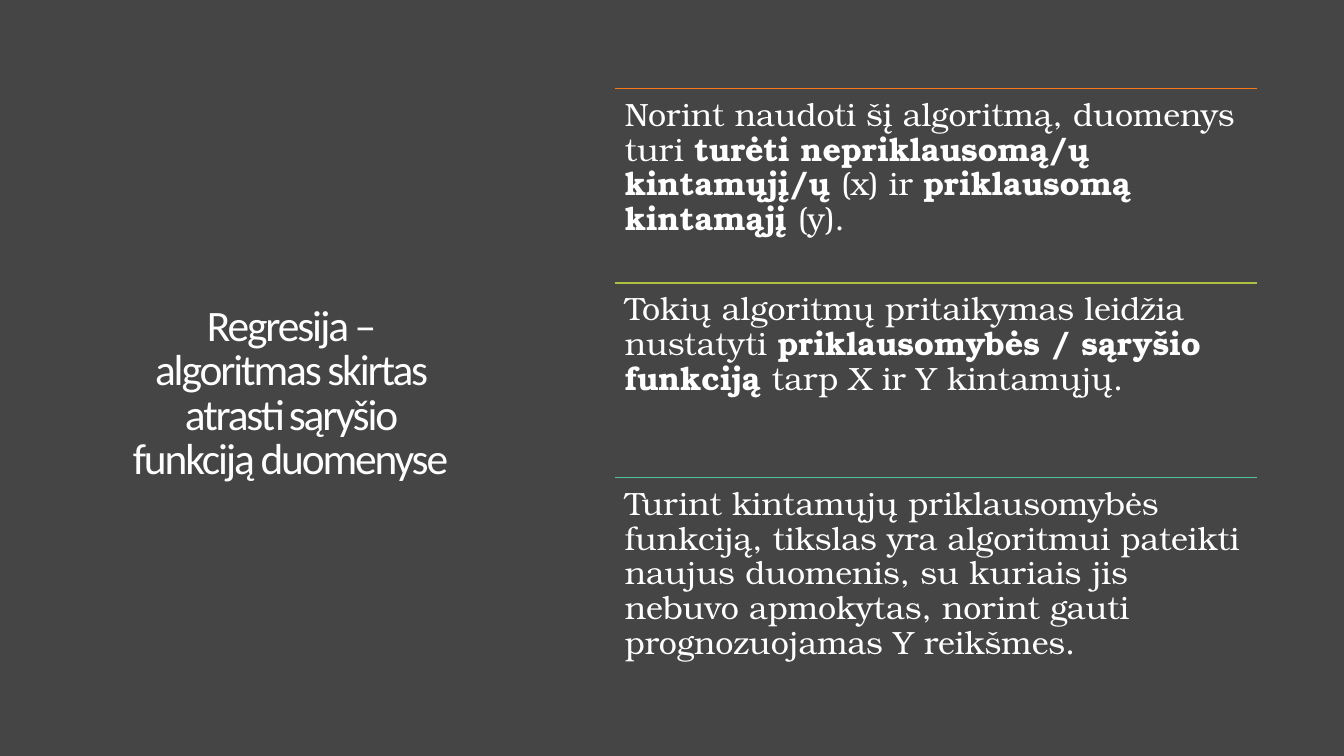
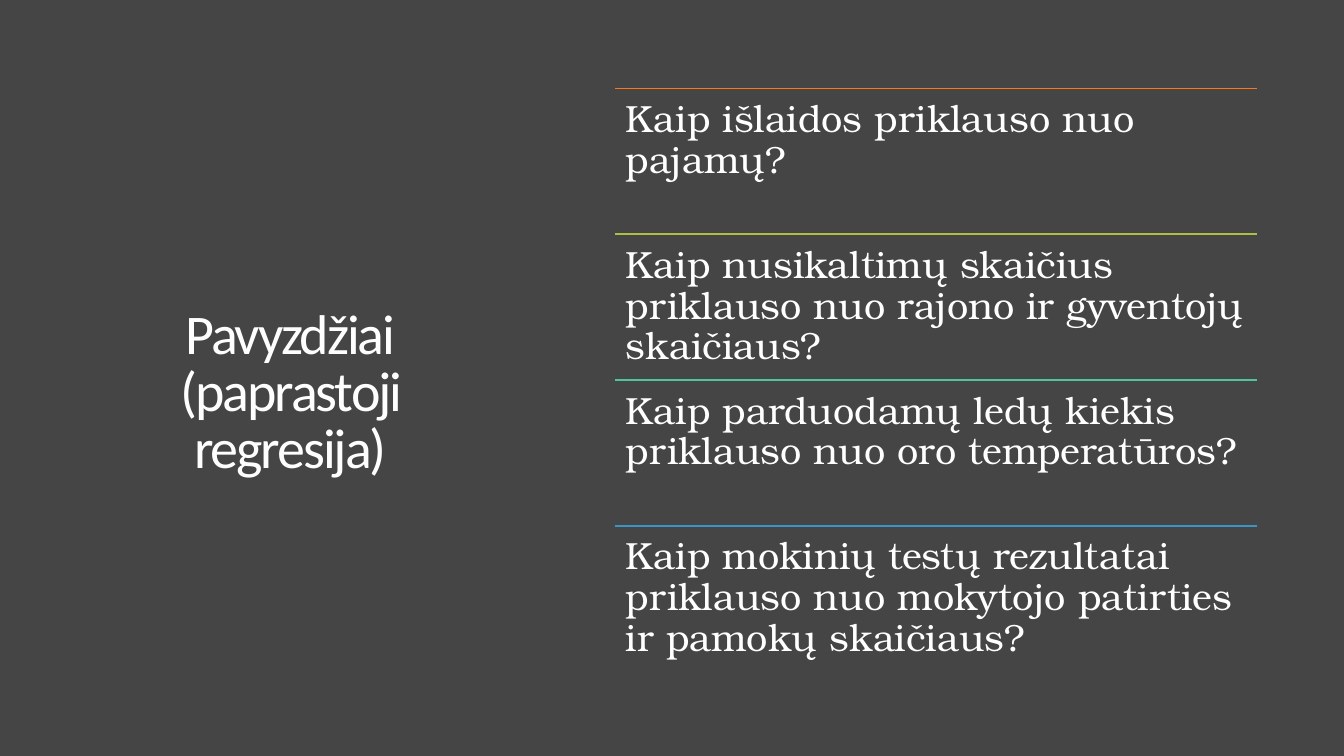
from dataclasses import dataclass

from lxml.etree import SubElement
from pptx import Presentation
from pptx.dml.color import RGBColor
from pptx.enum.shapes import MSO_CONNECTOR
from pptx.enum.text import MSO_ANCHOR, PP_ALIGN
from pptx.oxml.ns import qn
from pptx.slide import Slide
from pptx.text.text import TextFrame
from pptx.util import Inches, Length, Pt

SLIDE_WIDTH = Inches(13.33)
SLIDE_HEIGHT = Inches(7.5)

BACKGROUND = RGBColor(0x45, 0x45, 0x45)
TITLE_COLOR = RGBColor(0xFF, 0xFE, 0xFF)
TEXT_COLOR = RGBColor(0xFF, 0xFF, 0xFF)
RULE_COLORS = (
    RGBColor(0xFC, 0x77, 0x15),
    RGBColor(0xAF, 0xBF, 0x41),
    RGBColor(0x50, 0xC4, 0x9F),
    RGBColor(0x3B, 0x95, 0xC4),
)

TITLE_FONT = "Calibri"
TEXT_FONT = "TeX Gyre Bonum"


@dataclass(frozen=True)
class Area:
    """Rectangle in percent of the slide's width and height."""

    left: float
    top: float
    width: float
    height: float

    def row(self, index: int, count: int) -> "Area":
        """Return one of count equal rows of this area."""
        height = self.height / count
        return Area(self.left, self.top + index * height, self.width, height)


@dataclass(frozen=True)
class Span:
    """Piece of text in one weight."""

    text: str
    bold: bool = False


@dataclass(frozen=True)
class Page:
    """Title and ruled statements of one slide."""

    title: str
    title_size: float
    text_size: float
    inset: float
    statements: tuple[tuple[Span, ...], ...]


TITLE_AREA = Area(7.25, 34.27, 28.73, 35.87)
LIST_AREA = Area(45.75, 11.7, 47.75, 77.2)

PAGES = (
    Page(
        "Regresija – algoritmas skirtas atrasti sąryšio funkciją duomenyse",
        31,
        23,
        0.1,
        (
            (
                Span("Norint naudoti šį algoritmą, duomenys turi "),
                Span("turėti nepriklausomą/ų kintamųjį/ų ", bold=True),
                Span("(x) ir "),
                Span("priklausomą kintamąjį ", bold=True),
                Span("(y)."),
            ),
            (
                Span("Tokių algoritmų pritaikymas leidžia nustatyti "),
                Span("priklausomybės / sąryšio funkciją ", bold=True),
                Span("tarp X ir Y kintamųjų."),
            ),
            (
                Span(
                    "Turint kintamųjų priklausomybės funkciją, tikslas yra "
                    "algoritmui pateikti naujus duomenis, su kuriais jis nebuvo "
                    "apmokytas, norint gauti prognozuojamas Y reikšmes."
                ),
            ),
        ),
    ),
    Page(
        "Pavyzdžiai\v(paprastoji regresija)",
        40,
        27,
        0.11,
        (
            (Span("Kaip išlaidos priklauso nuo pajamų?"),),
            (Span("Kaip nusikaltimų skaičius priklauso nuo rajono ir gyventojų skaičiaus?"),),
            (Span("Kaip parduodamų ledų kiekis priklauso nuo oro temperatūros?"),),
            (Span("Kaip mokinių testų rezultatai priklauso nuo mokytojo patirties ir pamokų skaičiaus?"),),
        ),
    ),
)


def across(percent: float) -> Length:
    """Convert a share of the slide's width to a length."""
    return Length(round(SLIDE_WIDTH * percent / 100))


def down(percent: float) -> Length:
    """Convert a share of the slide's height to a length."""
    return Length(round(SLIDE_HEIGHT * percent / 100))


def add_text_frame(slide: Slide, area: Area, inset: float) -> TextFrame:
    """Add a wrapping text box with equal insets and return its frame."""
    box = slide.shapes.add_textbox(
        across(area.left), down(area.top), across(area.width), down(area.height)
    )
    frame = box.text_frame
    frame.word_wrap = True
    frame.margin_left = frame.margin_right = Inches(inset)
    frame.margin_top = frame.margin_bottom = Inches(inset)
    return frame


def add_title(slide: Slide, text: str, size: float) -> None:
    """Add the centred title on the left."""
    frame = add_text_frame(slide, TITLE_AREA, 0.25)
    frame.vertical_anchor = MSO_ANCHOR.MIDDLE
    para = frame.paragraphs[0]
    para.text = text
    para.alignment = PP_ALIGN.CENTER
    para.line_spacing = 0.85
    for run in para.runs:
        run.font.name = TITLE_FONT
        run.font.size = Pt(size)
        run.font.color.rgb = TITLE_COLOR
        run.font._element.set("spc", "-150")


def add_rule(slide: Slide, area: Area, color: RGBColor) -> None:
    """Add a coloured line along the top of an area."""
    rule = slide.shapes.add_connector(
        MSO_CONNECTOR.STRAIGHT,
        across(area.left),
        down(area.top),
        across(area.left + area.width),
        down(area.top),
    )
    rule.line.color.rgb = color
    rule.line.width = Pt(1.25)
    SubElement(rule._element.spPr, qn("a:effectLst"))


def add_statement(
    slide: Slide, area: Area, spans: tuple[Span, ...], size: float, inset: float
) -> None:
    """Add one statement made of plain and bold spans."""
    para = add_text_frame(slide, area, inset).paragraphs[0]
    para.line_spacing = 0.9
    for span in spans:
        run = para.add_run()
        run.text = span.text
        run.font.name = TEXT_FONT
        run.font.size = Pt(size)
        run.font.bold = span.bold
        run.font.color.rgb = TEXT_COLOR


def add_page(deck: Presentation, page: Page) -> None:
    """Add a slide with its title and ruled statements."""
    slide = deck.slides.add_slide(deck.slide_layouts[6])
    slide.background.fill.solid()
    slide.background.fill.fore_color.rgb = BACKGROUND
    add_title(slide, page.title, page.title_size)
    for index, (spans, color) in enumerate(zip(page.statements, RULE_COLORS)):
        area = LIST_AREA.row(index, len(page.statements))
        add_rule(slide, area, color)
        add_statement(slide, area, spans, page.text_size, page.inset)


def main() -> None:
    """Build and save the presentation."""
    deck = Presentation()
    deck.slide_width = SLIDE_WIDTH
    deck.slide_height = SLIDE_HEIGHT
    for page in PAGES:
        add_page(deck, page)
    deck.save("out.pptx")


if __name__ == "__main__":
    main()
